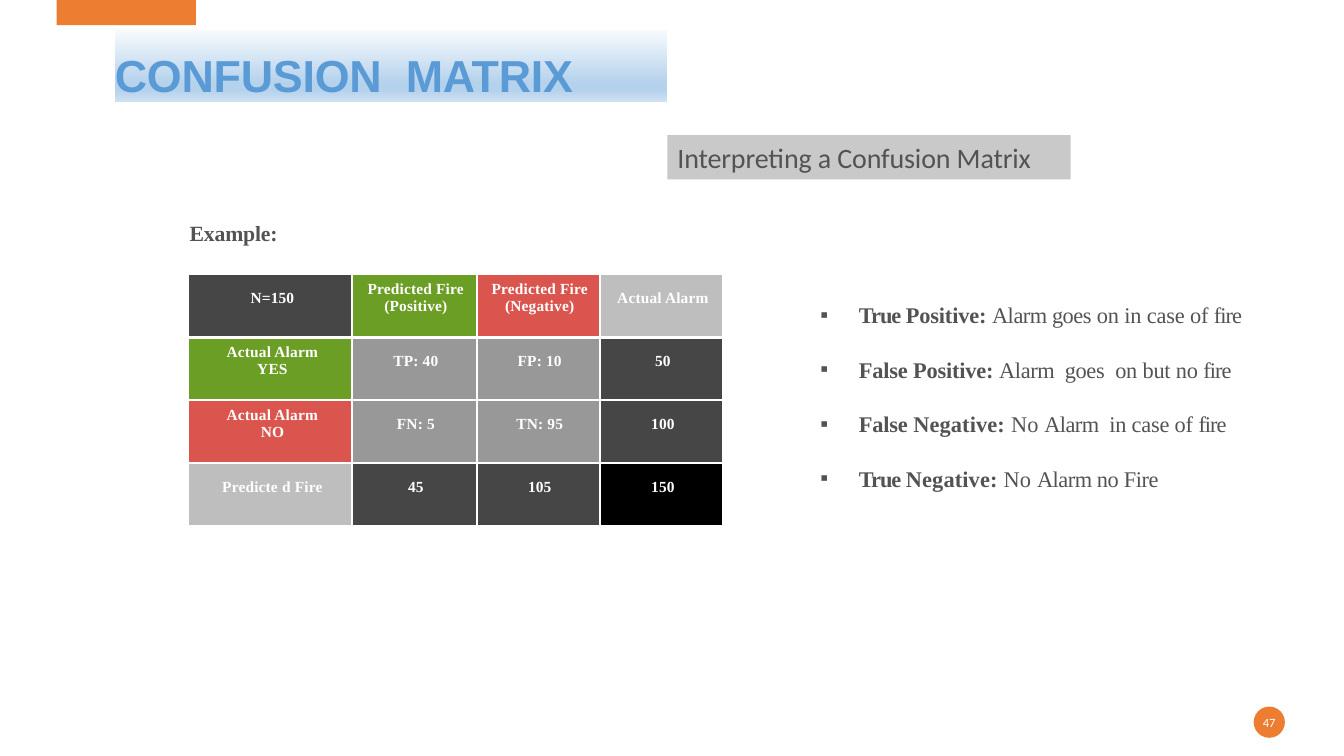
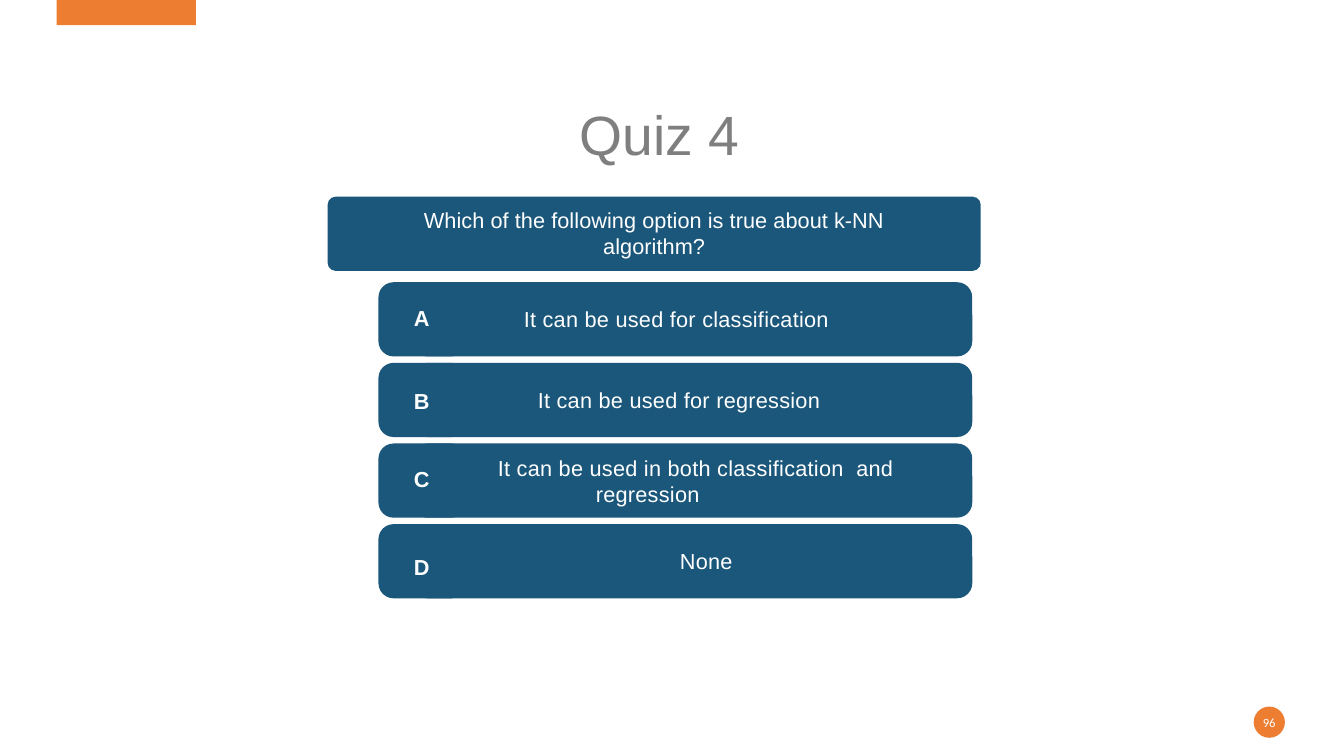
from pptx import Presentation
from pptx.dml.color import RGBColor
from pptx.enum.shapes import MSO_SHAPE as SHAPE
from pptx.enum.text import MSO_ANCHOR as ANCHOR, PP_ALIGN as ALIGN
from pptx.oxml import parse_xml
from pptx.oxml.ns import nsdecls
from pptx.util import Pt

ORANGE, TITLE_BLUE, QUIZ_BLUE = "ED7D31", "5B9BD5", "1B577B"
WHITE, BLACK, SILVER, GRAY, CHARCOAL = "FFFFFF", "000000", "BEBEBE", "989898", "464646"
GREEN, RED = "6B9E24", "DA554E"
TEXT_GRAY, QUIZ_GRAY, SUBTITLE_BAND = "535353", "7F7F7F", "C9C9C9"
SANS, SERIF, HUMANIST = "Arial", "Times New Roman", "Calibri"

TITLE_GRADIENT = [(0, "F7FAFD"), (74, "B5D2EC"), (83, "B5D2EC"), (100, "CEE1F2")]

MATRIX = [
    [("N=150", CHARCOAL), ("Predicted Fire (Positive)", GREEN),
     ("Predicted Fire (Negative)", RED), ("Actual Alarm", SILVER)],
    [("Actual Alarm YES", GREEN), ("TP: 40", GRAY), ("FP: 10", GRAY), ("50", CHARCOAL)],
    [("Actual Alarm NO", RED), ("FN: 5", GRAY), ("TN: 95", GRAY), ("100", CHARCOAL)],
    [("Predicte d Fire", SILVER), ("45", CHARCOAL), ("105", CHARCOAL), ("150", BLACK)],
]
COLUMN_WIDTHS = [117, 89, 88, 88]
ROW_HEIGHT = 45

# Each run: text, bold, letter spacing
OUTCOMES = [
    [("True ", True, -0.7), ("Positive: ", True, -0.1), ("Alarm goes ", False, -0.3),
     ("on in case of ", False, -0.1), ("fire", False, -0.7)],
    [("False Positive: ", True, -0.1), ("Alarm  goes  ", False, -0.25),
     ("on but no ", False, -0.15), ("fire", False, -0.7)],
    [("False ", True, -0.1), ("Negative: ", True, 0.1), ("No ", False, 0.1),
     ("Alarm  ", False, -0.4), ("in case of ", False, -0.15), ("fire", False, -0.7)],
    [("True ", True, -0.7), ("Negative: ", True, 0.1), ("No ", False, 0.1),
     ("Alarm no ", False, -0.35), ("Fire", False, -0.3)],
]

QUESTION = "Which of the following option is true about k-NN algorithm?"
# Letter, letter plate top, answer, answer inset, hanging indent
OPTIONS = [
    ("A", 213, "It can be used for classification", 76.5, 0),
    ("B", 272, "It can be used for regression", 86.5, 0),
    ("C", 327.5, "It can be used in both classification  and regression", 58, 70),
    ("D", 390.5, "None", 188, 0),
]
OPTION_TOP, OPTION_STEP, OPTION_HEIGHT = 201.6, 57.6, 53


def color(hex_code):
    return RGBColor.from_string(hex_code)


def write(frame, paragraphs, *, size, font, ink, bold=False, spacing=0, align=ALIGN.LEFT,
          anchor=ANCHOR.MIDDLE, margins=(0, 0, 0, 0), line=None, gap=0, left=0, hang=0,
          bullet=None):
    """Fill a text frame; a paragraph is a string or a list of (text, bold, spacing) runs."""
    frame.word_wrap = True
    frame.vertical_anchor = anchor
    (frame.margin_left, frame.margin_top,
     frame.margin_right, frame.margin_bottom) = map(Pt, margins)
    for index, content in enumerate(paragraphs):
        paragraph = frame.add_paragraph() if index else frame.paragraphs[0]
        paragraph.alignment = align
        if line:
            paragraph.line_spacing = Pt(line)
        if gap and index:
            paragraph.space_before = Pt(gap)
        properties = paragraph._p.get_or_add_pPr()
        if left or hang:
            properties.set("marL", str(Pt(left)))
            properties.set("indent", str(-Pt(hang)))
        if bullet:
            properties.append(parse_xml(f'<a:buFont {nsdecls("a")} typeface="{font}"/>'))
            properties.append(parse_xml(f'<a:buChar {nsdecls("a")} char="{bullet}"/>'))
        runs = [(content, bold, spacing)] if isinstance(content, str) else content
        for text, heavy, tracking in runs:
            run = paragraph.add_run()
            run.text = text
            run.font.size, run.font.name, run.font.bold = Pt(size), font, heavy
            run.font.color.rgb = color(ink)
            run._r.get_or_add_rPr().set("spc", str(round(tracking * 100)))


def add_block(slide, kind, box, fill=None, radius=None):
    block = slide.shapes.add_shape(kind, *map(Pt, box))
    block.shadow.inherit = False
    block.line.fill.background()
    if fill:
        block.fill.solid()
        block.fill.fore_color.rgb = color(fill)
    if radius:
        block.adjustments[0] = radius / min(box[2:])
    return block


def add_label(slide, box, paragraphs, **style):
    write(slide.shapes.add_textbox(*map(Pt, box)).text_frame, paragraphs, **style)


def fill_gradient(block, stops):
    """Give a block a top-to-bottom gradient."""
    steps = "".join(f'<a:gs pos="{percent * 1000}"><a:srgbClr val="{shade}"/></a:gs>'
                    for percent, shade in stops)
    block._element.spPr.prstGeom.addnext(parse_xml(
        f'<a:gradFill {nsdecls("a")} rotWithShape="1"><a:gsLst>{steps}</a:gsLst>'
        '<a:lin ang="5400000" scaled="0"/></a:gradFill>'))


def border_cell(cell, widths):
    """Draw white borders of the given widths by side: L, R, T, B."""
    properties = cell._tc.get_or_add_tcPr()
    for side, width in widths.items():
        properties.append(parse_xml(
            f'<a:ln{side} {nsdecls("a")} w="{Pt(width)}"><a:solidFill>'
            f'<a:srgbClr val="{WHITE}"/></a:solidFill></a:ln{side}>'))


def add_base_slide(deck, number):
    slide = deck.slides.add_slide(deck.slide_layouts[6])
    add_block(slide, SHAPE.RECTANGLE, (40.5, 0, 99.5, 18), ORANGE)
    badge = add_block(slide, SHAPE.OVAL, (895.5, 504.7, 22.3, 22.3), ORANGE)
    write(badge.text_frame, [number], size=9, font=HUMANIST, ink=WHITE, align=ALIGN.CENTER)
    return slide


def add_matrix(slide):
    table = slide.shapes.add_table(
        len(MATRIX), len(COLUMN_WIDTHS), Pt(134.6), Pt(196),
        Pt(sum(COLUMN_WIDTHS)), Pt(ROW_HEIGHT * len(MATRIX))).table
    for column, width in zip(table.columns, COLUMN_WIDTHS):
        column.width = Pt(width)
    for r, entries in enumerate(MATRIX):
        table.rows[r].height = Pt(ROW_HEIGHT)
        for c, (text, fill) in enumerate(entries):
            cell = table.cell(r, c)
            border_cell(cell, {"L": 1.5, "R": 1.5, "T": 3 if r == 1 else 1.5,
                               "B": 3 if r == 0 else 1.5})
            cell.fill.solid()
            cell.fill.fore_color.rgb = color(fill)
            left, right = (2, 0) if c else (20, 17)
            write(cell.text_frame, [text], size=11, font=SERIF, ink=WHITE, bold=True,
                  spacing=0.1, align=ALIGN.CENTER)
            cell.vertical_anchor = ANCHOR.MIDDLE
            (cell.margin_left, cell.margin_top,
             cell.margin_right, cell.margin_bottom) = map(Pt, (left, 0, right, 11))


def build_confusion_matrix(deck):
    slide = add_base_slide(deck, "47")
    title = add_block(slide, SHAPE.RECTANGLE, (82, 21.6, 394.6, 51.2))
    fill_gradient(title, TITLE_GRADIENT)
    write(title.text_frame, ["CONFUSION  MATRIX"], size=32, font=SANS, ink=TITLE_BLUE,
          bold=True, spacing=-0.2, anchor=ANCHOR.BOTTOM, line=43.6)
    subtitle = add_block(slide, SHAPE.RECTANGLE, (476.8, 96.5, 288, 31.7), SUBTITLE_BAND)
    write(subtitle.text_frame, ["Interpreting a Confusion Matrix"], size=20, font=HUMANIST,
          ink=TEXT_GRAY, spacing=-0.1, margins=(7.2, 3.6, 7.2, 3.6))
    add_label(slide, (134.5, 155.6, 80, 21), ["Example:"], size=15.5, font=SERIF,
              ink=TEXT_GRAY, bold=True, spacing=-0.1, margins=(1, 0, 0, 0))
    add_matrix(slide)
    add_label(slide, (585.5, 215.3, 330, 142), OUTCOMES, size=16, font=SERIF, ink=TEXT_GRAY,
              anchor=ANCHOR.TOP, gap=19.7, left=28, hang=27.5, bullet="▪")


def build_quiz(deck):
    slide = add_base_slide(deck, "96")
    add_label(slide, (371, 68, 200, 55), ["Quiz 4"], size=39.5, font=SANS, ink=QUIZ_GRAY,
              align=ALIGN.CENTER)
    quiz_style = dict(size=15.5, font=SANS, ink=WHITE)
    question = add_block(slide, SHAPE.ROUNDED_RECTANGLE, (234, 140.5, 466.5, 53),
                         QUIZ_BLUE, radius=5.8)
    write(question.text_frame, [QUESTION], spacing=0.05, align=ALIGN.CENTER,
          margins=(40, 0, 40, 1), **quiz_style)
    for index, (letter, plate_top, answer, inset, hang) in enumerate(OPTIONS):
        top = OPTION_TOP + index * OPTION_STEP
        _, bar = [add_block(slide, SHAPE.ROUNDED_RECTANGLE, (x, top, width, OPTION_HEIGHT),
                            QUIZ_BLUE, radius=10.8)
                  for x, width in ((270.3, 63), (294.5, 400))]
        write(bar.text_frame, [answer], spacing=0.2, margins=(inset, 0, 0, 0),
              left=hang, hang=hang, **quiz_style)
        plate = add_block(slide, SHAPE.RECTANGLE, (280.8, plate_top, 44.4, 27.5), QUIZ_BLUE)
        write(plate.text_frame, [letter], bold=True, margins=(14.8, 1, 0, 0), **quiz_style)


def main():
    deck = Presentation()
    deck.slide_width, deck.slide_height = Pt(960), Pt(540)
    build_confusion_matrix(deck)
    build_quiz(deck)
    deck.save("out.pptx")


if __name__ == "__main__":
    main()
